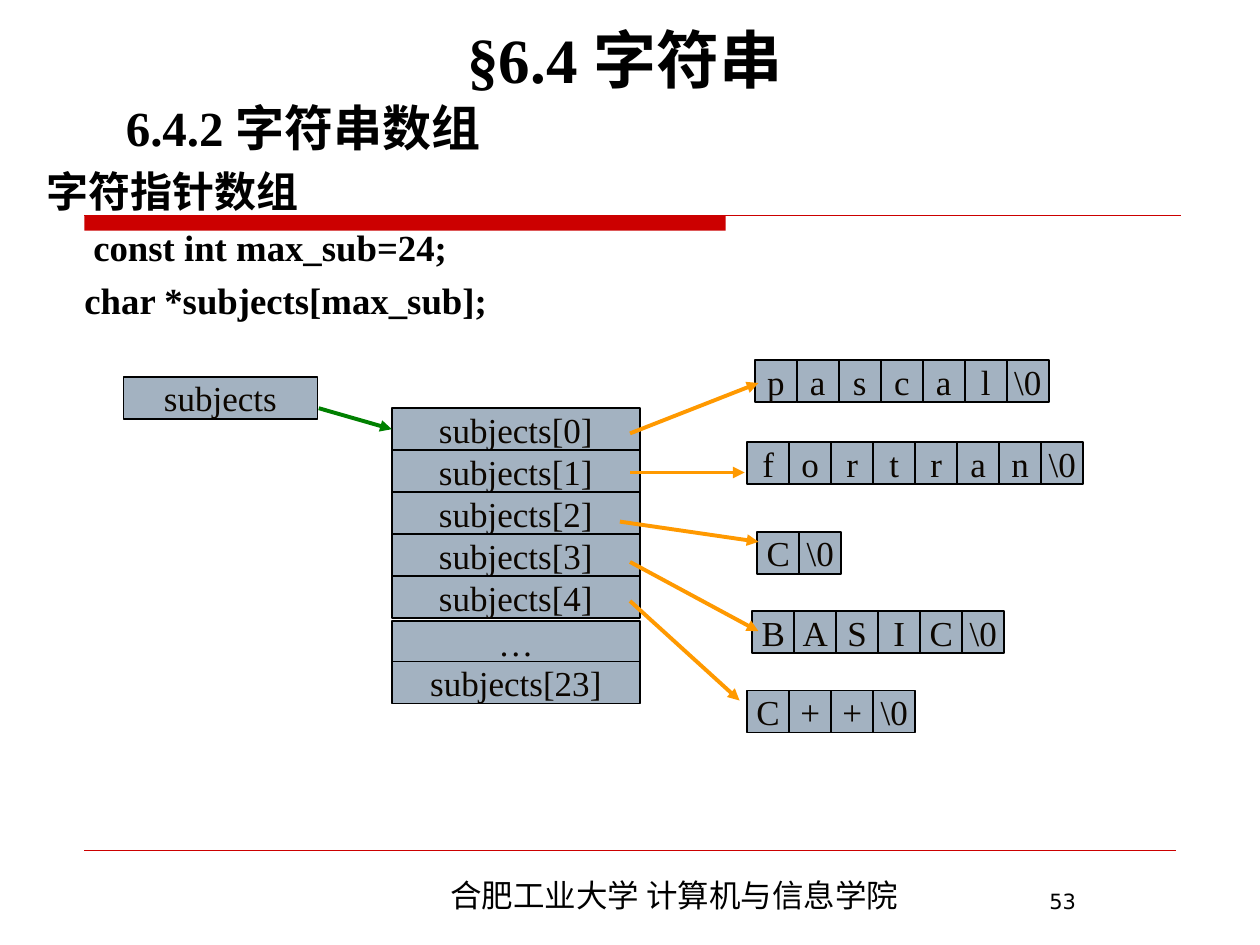
"""Build the slide on arrays of character pointers."""
from pptx import Presentation
from pptx.dml.color import RGBColor
from pptx.enum import shapes, text
from pptx.oxml import parse_xml
from pptx.oxml.ns import nsdecls, qn
from pptx.util import Inches, Pt

COLORS = {"ink": "000000", "cell_ink": "0C0600", "cell": "A3B2C1",
          "rule": "CC0000", "array": "008000", "pointer": "FF9900"}
SERIF, SANS, CJK = "Times New Roman", "DejaVu Sans", "Noto Sans CJK SC"

TITLE = "§6.4 字符串"
SUBTITLE = "6.4.2 字符串数组"
BODY = [("字符指针数组", 24, 0, 0),
        ("const int max_sub=24;", 21, 0.37, 5.2),
        ("char *subjects[max_sub];", 21, 0.3, 5.2)]
FOOTER, NUMBER = "合肥工业大学 计算机与信息学院", "53"

CELL = 1 / 3
ARRAY_LEFT, ARRAY_TOP, ARRAY_WIDTH = 3.11, 3.24, 1.97
ENTRIES = [f"subjects[{i}]" for i in range(5)]
LAST_ENTRIES = [("…", 4.93), ("subjects[23]", 5.25)]
STRINGS = [("pascal", 5.99, 2.86), ("fortran", 5.93, 3.51), ("C", 6.01, 4.22),
           ("BASIC", 5.97, 4.85), ("C++", 5.93, 5.48)]
POINTERS = [(5, 3.44, 6.02, 3.04), (5, 3.75, 5.91, 3.75), (4.92, 4.14, 6.02, 4.3),
            (5, 4.46, 6.02, 5.01), (5, 4.77, 5.87, 5.56)]


def rgb(name):
    return RGBColor.from_string(COLORS[name])


def place(sp, *box):
    sp.left, sp.top, sp.width, sp.height = map(Inches, box)


def style(p, size, font=SERIF, bold=False, color="ink", align=text.PP_ALIGN.LEFT):
    p.alignment = align
    for r in p.runs:
        r.font.size, r.font.name, r.font.bold = Pt(size), font, bold
        r.font.color.rgb = rgb(color)
        r.font._element.find(qn("a:latin")).addnext(
            parse_xml(f'<a:ea {nsdecls("a")} typeface="{CJK}"/>'))


def add_text(s, content, box, anchor=text.MSO_ANCHOR.TOP, **look):
    sp = s.shapes.add_textbox(*map(Inches, box))
    tf = sp.text_frame
    tf.word_wrap, tf.vertical_anchor, tf.text = True, anchor, content
    style(tf.paragraphs[0], **look)


def add_rect(s, box, fill):
    sp = s.shapes.add_shape(shapes.MSO_SHAPE.RECTANGLE, *map(Inches, box))
    sp.shadow.inherit = False
    sp.fill.solid()
    sp.fill.fore_color.rgb = rgb(fill)
    sp.line.fill.background()
    return sp


def add_cell(s, content, left, top, width=CELL):
    sp = add_rect(s, (left, top, width, CELL), "cell")
    sp.line.color.rgb, sp.line.width = rgb("ink"), Pt(1)
    tf = sp.text_frame
    tf.margin_left = tf.margin_top = tf.margin_right = tf.margin_bottom = 0
    tf.word_wrap, tf.vertical_anchor, tf.text = False, text.MSO_ANCHOR.MIDDLE, content
    style(tf.paragraphs[0], 20, color="cell_ink", align=text.PP_ALIGN.CENTER)
    return sp


def add_line(s, ends, color, width, arrow=False):
    line = s.shapes.add_connector(shapes.MSO_CONNECTOR.STRAIGHT, *map(Inches, ends))
    line.line.color.rgb, line.line.width = rgb(color), Pt(width)
    if arrow:
        line.line._get_or_add_ln().append(
            parse_xml(f'<a:tailEnd {nsdecls("a")} type="triangle"/>'))
    line._element.spPr.append(parse_xml(f'<a:effectLst {nsdecls("a")}/>'))
    return line


def add_frame(s):
    add_rect(s, (0.67, 1.71, 5.09, 0.12), "rule")
    add_line(s, (0.67, 1.71, 9.37, 1.71), "rule", 0.75)
    add_line(s, (0.67, 6.75, 9.33, 6.75), "rule", 0.25)
    add_text(s, FOOTER, (2.32, 6.9, 6.06, 0.4), size=18, font=CJK,
             align=text.PP_ALIGN.CENTER)
    add_text(s, NUMBER, (8.23, 7, 1.5, 0.29), size=12, font=SANS)


def fill_placeholders(s):
    title, body = s.shapes.title, s.placeholders[1]
    place(title, 0.7, 0, 8.52, 0.76)
    place(body, 0.27, 1.31, 9.52, 5.94)
    for sp in (body, title):
        s.shapes._spTree.append(sp._element)
        tf = sp.text_frame
        tf.auto_size = text.MSO_AUTO_SIZE.NONE
        tf.margin_top = tf.margin_bottom = 0
    title.text_frame.vertical_anchor = text.MSO_ANCHOR.BOTTOM
    title.text_frame.text = TITLE
    style(title.text_frame.paragraphs[0], 36, bold=True, align=text.PP_ALIGN.CENTER)
    tf = body.text_frame
    tf.text = "\n".join(row[0] for row in BODY)
    for p, (_, size, indent, before) in zip(tf.paragraphs, BODY):
        pPr = p._p.get_or_add_pPr()
        pPr.set("marL", str(Inches(indent)))
        pPr.set("indent", "0")
        pPr.append(parse_xml(f'<a:buNone {nsdecls("a")}/>'))
        p.space_before = Pt(before)
        style(p, size, bold=True)


def add_diagram(s):
    for chars, left, top in STRINGS:
        for i, char in enumerate([*chars, "\\0"]):
            add_cell(s, char, left + i * CELL, top)
    rows = [(name, ARRAY_TOP + i * CELL) for i, name in enumerate(ENTRIES)]
    entries = [add_cell(s, name, ARRAY_LEFT, top, ARRAY_WIDTH)
               for name, top in rows + LAST_ENTRIES]
    add_cell(s, "subjects", 0.98, 2.99, 1.54)
    array = add_line(s, (2.53, 3.24, 3.11, 3.41), "array", 2.25, arrow=True)
    array.end_connect(entries[0], 1)
    for ends in POINTERS:
        add_line(s, ends, "pointer", 2.25, arrow=True)


def main():
    prs = Presentation()
    prs.slide_width, prs.slide_height = Inches(10), Inches(7.5)
    s = prs.slides.add_slide(prs.slide_layouts[1])
    add_frame(s)
    fill_placeholders(s)
    add_text(s, SUBTITLE, (0.9, 0.6, 8.52, 0.69), text.MSO_ANCHOR.BOTTOM,
             size=28, bold=True)
    add_diagram(s)
    prs.save("out.pptx")


if __name__ == "__main__":
    main()
